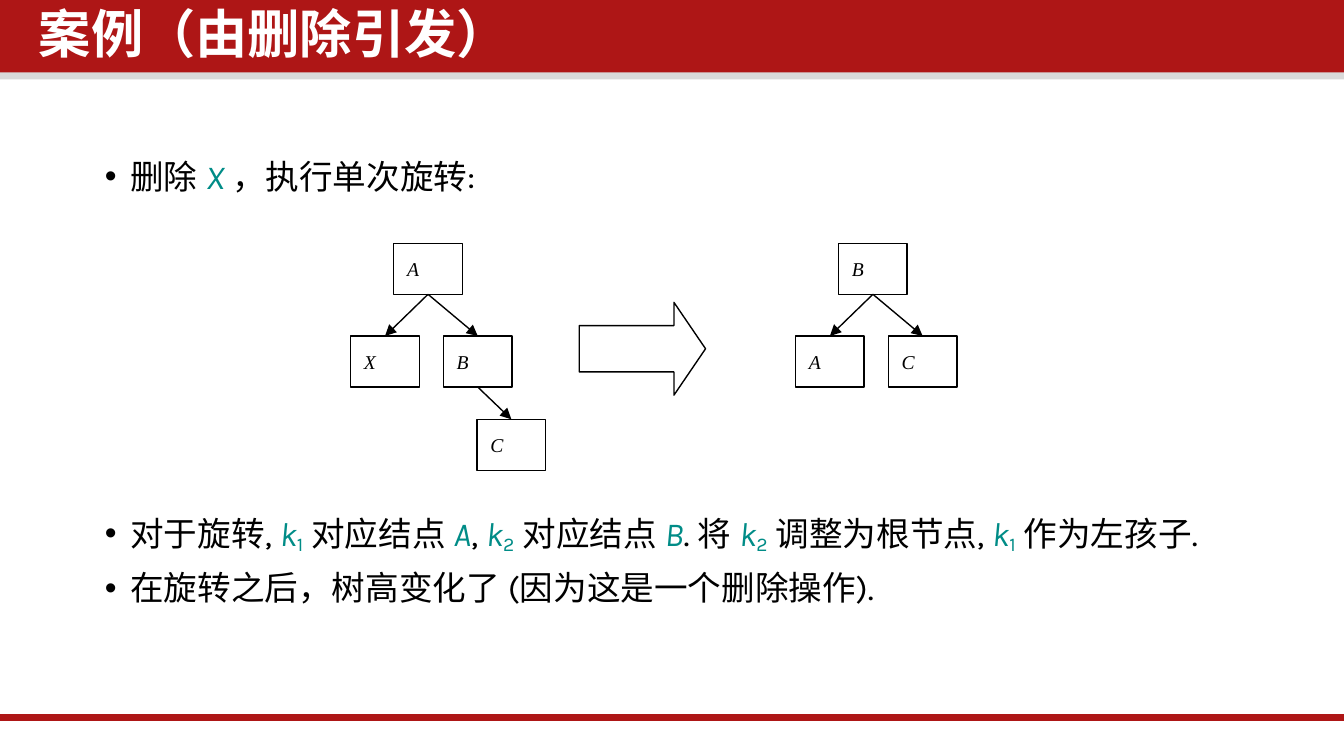
from lxml import etree
from pptx import Presentation
from pptx.dml.color import RGBColor
from pptx.enum.shapes import MSO_CONNECTOR, MSO_SHAPE
from pptx.enum.text import MSO_ANCHOR, MSO_AUTO_SIZE, PP_ALIGN
from pptx.oxml.ns import qn
from pptx.util import Inches, Pt

RECTANGLE = MSO_SHAPE.RECTANGLE
RIGHT_ARROW = MSO_SHAPE.RIGHT_ARROW
STRAIGHT = MSO_CONNECTOR.STRAIGHT
TOP, MIDDLE = MSO_ANCHOR.TOP, MSO_ANCHOR.MIDDLE
NO_AUTOFIT = MSO_AUTO_SIZE.NONE
LEFT = PP_ALIGN.LEFT

RED, GREY, TEAL = "AE1616", "D9D9D9", "008C87"
BLACK, WHITE = "000000", "FFFFFF"
NODE_WIDTH, NODE_HEIGHT = 0.51, 0.38
BOTTOM_SIDE, TOP_SIDE = 2, 0

# Node offsets from the left edge of a tree, and the top of each level
ROOT, LEFT_CHILD, RIGHT_CHILD, GRANDCHILD = (0.32, 1.81), (0, 2.5), (0.69, 2.5), (0.94, 3.12)


def color(value):
    return RGBColor.from_string(value)


def apply_format(target, **values):
    for name, value in values.items():
        setattr(target, name, value)


def set_font(run, typeface, size, font_color, bold=False, italic=False):
    apply_format(run.font, name=typeface, size=Pt(size), bold=bold, italic=italic)
    run.font.color.rgb = color(font_color)
    # East Asian text uses the same typeface
    etree.SubElement(run.font._element, qn("a:ea")).set("typeface", typeface)


def add_shape(slide, kind, box, fill=None, line=None):
    shape = slide.shapes.add_shape(kind, *map(Inches, box))
    shape.shadow.inherit = False
    if fill:
        shape.fill.solid()
        shape.fill.fore_color.rgb = color(fill)
    else:
        shape.fill.background()
    if line:
        shape.line.color.rgb = color(line)
        shape.line.width = Pt(0.75)
    else:
        shape.line.fill.background()
    return shape


def add_line(slide, start, end, line_color, width):
    line = slide.shapes.add_connector(STRAIGHT, *map(Inches, start + end))
    line.line.color.rgb = color(line_color)
    line.line.width = Pt(width)
    etree.SubElement(line._element.spPr, qn("a:effectLst"))
    return line


def add_node(slide, left, top, label):
    node = add_shape(slide, RECTANGLE, (left, top, NODE_WIDTH, NODE_HEIGHT), line=BLACK)
    apply_format(node.text_frame, word_wrap=True, vertical_anchor=MIDDLE)
    paragraph = node.text_frame.paragraphs[0]
    paragraph.alignment = LEFT
    run = paragraph.add_run()
    run.text = label
    set_font(run, "Times New Roman", 10.5, BLACK, italic=True)
    return node


def add_edge(slide, parent, child):
    edge = add_line(slide, (0, 0), (1, 1), BLACK, 0.75)
    edge.begin_connect(parent, BOTTOM_SIDE)
    edge.end_connect(child, TOP_SIDE)
    outline = edge.line._get_or_add_ln()
    etree.SubElement(outline, qn("a:tailEnd")).set("type", "triangle")


def add_tree(slide, left, labels, edges):
    """Labels map a node's offset to its letter; edges pair the letters."""
    nodes = {label: add_node(slide, left + x, top, label)
             for (x, top), label in labels.items()}
    for parent, child in edges:
        add_edge(slide, nodes[parent], nodes[child])


def place(placeholder, box, **frame_values):
    left, top, width, height = map(Inches, box)
    apply_format(placeholder, left=left, top=top, width=width, height=height)
    apply_format(placeholder.text_frame, word_wrap=True, auto_size=NO_AUTOFIT,
                 vertical_anchor=TOP, **frame_values)
    # Bring the text in front of the bands
    placeholder._element.getparent().append(placeholder._element)


def fill_title(title, text):
    side, edge = Inches(0.07), Inches(0.04)
    place(title, (0.22, 0.02, 7.64, 0.59), margin_left=side, margin_right=side,
          margin_top=edge, margin_bottom=edge)
    paragraph = title.text_frame.paragraphs[0]
    apply_format(paragraph, alignment=LEFT, line_spacing=0.9, space_before=Pt(0))
    run = paragraph.add_run()
    run.text = text
    set_font(run, "Noto Sans CJK SC", 28, WHITE, bold=True)


def add_bullet(paragraph, space_before, pieces):
    """Each piece is its text and a style: text, symbol or index."""
    apply_format(paragraph, alignment=LEFT, line_spacing=0.9, space_before=Pt(space_before))
    properties = paragraph._p.get_or_add_pPr()
    properties.set("marL", str(Inches(0.19)))
    properties.set("indent", str(-Inches(0.19)))
    etree.SubElement(properties, qn("a:buChar")).set("char", "•")
    for text, style in pieces:
        run = paragraph.add_run()
        run.text = text
        set_font(run, "Karla", 18, BLACK if style == "text" else TEAL,
                 italic=style == "symbol")
        if style == "index":
            run.font._element.set("baseline", "-16000")


def fill_body(body):
    place(body, (0.68, 1.14, 8.88, 3.47))
    k1 = [("k", "symbol"), ("1", "index")]
    k2 = [("k", "symbol"), ("2", "index")]
    bullets = [
        (0, [("删除 ", "text"), ("X ", "symbol"), ("，执行单次旋转:", "text")]),
        # Wide gap that leaves room for the trees
        (171, [("对于旋转, ", "text"), *k1, (" 对应结点 ", "text"), ("A", "symbol"),
               (", ", "text"), *k2, (" 对应结点 ", "text"), ("B", "symbol"),
               (". 将 ", "text"), *k2, (" 调整为根节点, ", "text"), *k1,
               (" 作为左孩子.", "text")]),
        (9.5, [("在旋转之后，树高变化了 (因为这是一个删除操作).", "text")]),
    ]
    frame = body.text_frame
    for index, (space_before, pieces) in enumerate(bullets):
        paragraph = frame.add_paragraph() if index else frame.paragraphs[0]
        add_bullet(paragraph, space_before, pieces)


def main():
    presentation = Presentation()
    # Widescreen, 16 to 9
    width = Inches(10)
    apply_format(presentation, slide_width=width, slide_height=width * 9 // 16)
    slide = presentation.slides.add_slide(presentation.slide_layouts[1])

    # Header bands and footer line
    add_shape(slide, RECTANGLE, (0, 0.5, 10, 0.09), fill=GREY)
    add_shape(slide, RECTANGLE, (0, 0, 10, 0.54), fill=RED)
    add_line(slide, (-0.02, 5.34), (10, 5.34), RED, 4)

    # Trees before and after the rotation
    add_tree(slide, 2.61, {ROOT: "A", LEFT_CHILD: "X", RIGHT_CHILD: "B", GRANDCHILD: "C"},
             ["AB", "BC", "AX"])
    arrow = add_shape(slide, RIGHT_ARROW, (4.31, 2.25, 0.94, 0.69), WHITE, BLACK)
    arrow.adjustments[1] = 0.34
    add_tree(slide, 5.92, {ROOT: "B", LEFT_CHILD: "A", RIGHT_CHILD: "C"}, ["BC", "BA"])

    # Title and bullets
    fill_title(slide.shapes.title, "案例（由删除引发）")
    fill_body(slide.placeholders[1])

    presentation.save("out.pptx")


if __name__ == "__main__":
    main()
